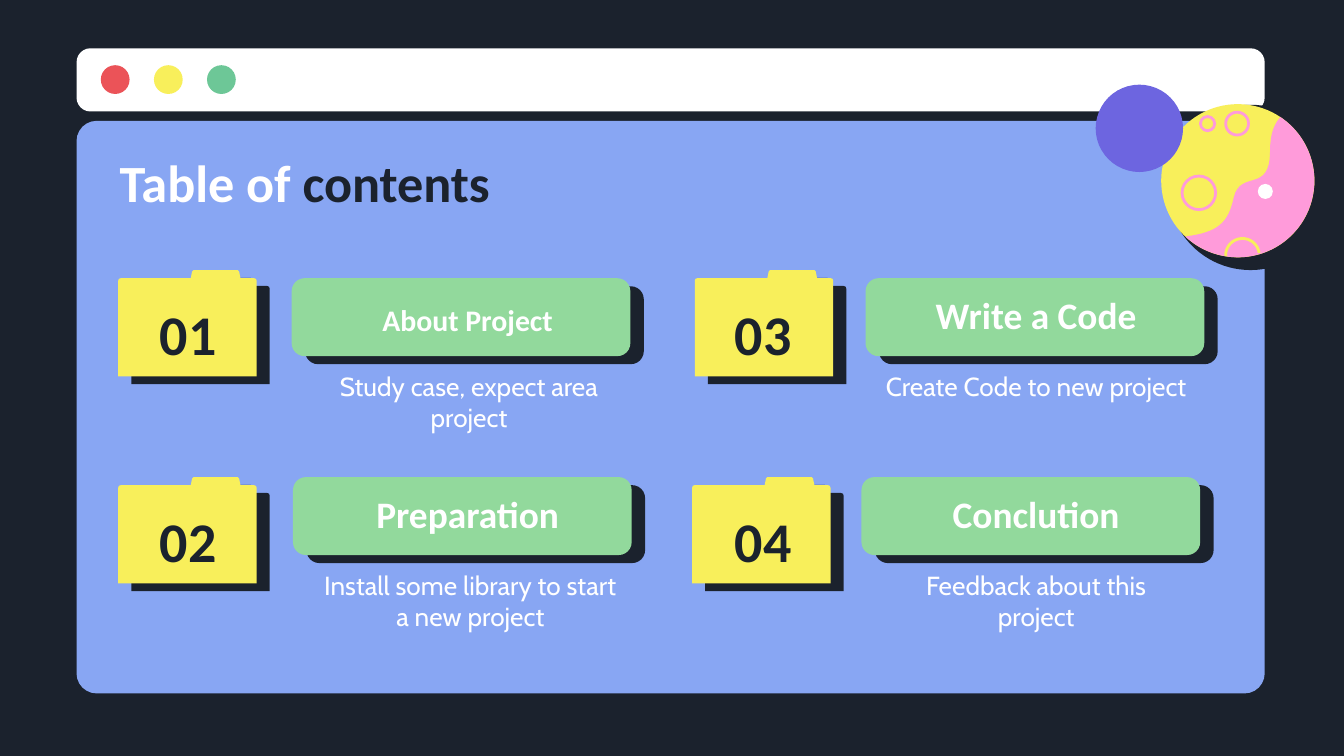
import math

from lxml import etree
from pptx import Presentation
from pptx.dml.color import RGBColor
from pptx.enum.shapes import MSO_SHAPE
from pptx.enum.text import MSO_ANCHOR, MSO_AUTO_SIZE, PP_ALIGN
from pptx.oxml.ns import qn
from pptx.util import Emu, Pt

ROUNDED, OVAL = MSO_SHAPE.ROUNDED_RECTANGLE, MSO_SHAPE.OVAL
TOP, MIDDLE, BOTTOM = MSO_ANCHOR.TOP, MSO_ANCHOR.MIDDLE, MSO_ANCHOR.BOTTOM
LEFT, CENTER = PP_ALIGN.LEFT, PP_ALIGN.CENTER
NO_AUTOFIT = MSO_AUTO_SIZE.NONE
TITLE_ONLY = 5
EMU_PER_PX = 9144
COLORS = {
    "ink": "1B222D", "white": "FFFFFF", "red": "EB5358", "yellow": "F8EF5B",
    "teal": "6DC797", "blue": "88A6F3", "pink": "FF9BDA", "violet": "6D65E0",
    "mint": "92D99C",
}
ENTRIES = [
    dict(number="01", heading="About Project", size=16, heading_width=243,
         caption="Study case, expect area project",
         folder=(88, 201), pill=(217, 207), centers=(140, 348, 349)),
    dict(number="02", heading="Preparation", size=20, heading_width=206,
         caption="Install some library to start a new project",
         folder=(88, 355), pill=(218, 355), centers=(140, 348, 350)),
    dict(number="03", heading="Write a Code", size=20, heading_width=206,
         caption="Create Code to new project",
         folder=(517, 201), pill=(644, 207), centers=(568, 771, 771)),
    dict(number="04", heading="Conclution", size=20, heading_width=206,
         caption="Feedback about this project",
         folder=(515, 355), pill=(641, 355), centers=(568, 771, 771)),
]


def px(length):
    return Emu(round(length * EMU_PER_PX))


def color(name):
    return RGBColor.from_string(COLORS[name])


def paint(shape, fill=None, line=None, weight=1.5):
    shape.shadow.inherit = False
    if fill:
        shape.fill.solid()
        shape.fill.fore_color.rgb = color(fill)
    else:
        shape.fill.background()
    if line:
        shape.line.color.rgb = color(line)
        shape.line.width = Pt(weight)
    else:
        shape.line.fill.background()
    return shape


def add_shape(page, kind, box, fill, corner=None):
    shape = page.shapes.add_shape(kind, *map(px, box))
    if corner is not None:
        shape.adjustments[0] = corner
    return paint(shape, fill)


def add_circle(page, x, y, radius, fill=None, line=None):
    box = (x - radius, y - radius, 2 * radius, 2 * radius)
    return paint(page.shapes.add_shape(OVAL, *map(px, box)), fill, line)


def add_outline(page, points, fill=None, line=None, close=True):
    points = [(px(x), px(y)) for x, y in points]
    builder = page.shapes.build_freeform(*points[0])
    builder.add_line_segments(points[1:], close=close)
    return paint(builder.convert_to_shape(), fill, line)


def arc(x, y, radius, start, end, steps=48):
    angles = [math.radians(start + (end - start) * i / steps) for i in range(steps + 1)]
    return [(x + radius * math.cos(a), y + radius * math.sin(a)) for a in angles]


def curve(start, first, second, end, steps=16):
    points = []
    for i in range(steps + 1):
        t = i / steps
        weights = ((1 - t) ** 3, 3 * t * (1 - t) ** 2, 3 * t * t * (1 - t), t ** 3)
        corners = (start, first, second, end)
        points.append(tuple(sum(w * c[axis] for w, c in zip(weights, corners))
                            for axis in (0, 1)))
    return points


def write(shape, box, spans, size, font="Calibri", bold=True, align=CENTER, anchor=MIDDLE):
    shape.left, shape.top, shape.width, shape.height = map(px, box)
    frame = shape.text_frame
    frame.word_wrap = True
    frame.auto_size = NO_AUTOFIT
    frame.vertical_anchor = anchor
    frame.margin_left = frame.margin_right = px(10)
    frame.margin_top = frame.margin_bottom = px(10)
    para = frame.paragraphs[0]
    para.alignment = align
    for text, name in spans:
        span = para.add_run()
        span.text = text
        span.font.name = font
        span.font.size = Pt(size)
        span.font.bold = bold
        span.font.color.rgb = color(name)


def add_text(page, box, text, name, size, **style):
    write(page.shapes.add_textbox(*map(px, box)), box, [(text, name)], size, **style)


def add_hard_shadow(shape):
    effects = shape._element.spPr.find(qn("a:effectLst"))
    shadow = etree.SubElement(effects, qn("a:outerShdw"), dist=str(Pt(8.2)),
                              dir=str(31 * 60000), algn="bl", rotWithShape="0")
    etree.SubElement(shadow, qn("a:srgbClr"), val=COLORS["ink"])


def add_window(page, left, top, width):
    add_shape(page, ROUNDED, (left, top, width, 47), "white", 0.22)
    for i, name in enumerate(("red", "yellow", "teal")):
        add_circle(page, left + 28.75 + 39.5 * i, top + 23.25, 10.7, name)
    add_shape(page, ROUNDED, (left, top + 54, width, 426), "blue", 0.035)


def add_planet(page, x, y, radius):
    add_circle(page, x + 9.5, y + 5, 61.5, "ink")
    add_circle(page, x, y, radius, "yellow")
    for dx, dy, ring in ((-22.5, -42.5, 5.3), (-0.5, -42.5, 8.5), (-29, 9, 12.5)):
        add_circle(page, x + dx, y + dy, ring, line="pink")
    shore = (curve((-39, 41.5), (-15, 38.5), (-7, 31.5), (-3, 12.5))
             + curve((-3, 12.5), (2, -8.5), (24, 9.5), (24, -21.5))
             + curve((24, -21.5), (24, -36.5), (28, -43.5), (32, -47.5)))
    land = [(x + dx, y + dy) for dx, dy in shore]
    add_outline(page, land + arc(x, y, radius, -56, 133), "pink")
    add_outline(page, arc(x + 3.5, y + 55.5, 12.5, 178, 352), line="yellow", close=False)
    add_circle(page, x + 20.5, y + 8, 5.6, "white")
    add_circle(page, x - 73.25, y - 39, 32.5, "violet")


def add_folder(page, left, top):
    corners = [(0, 8), (0.5, 6.5), (2, 6), (54, 6), (55, 1), (56, 0), (89, 0),
               (90, 1), (91, 6), (101, 6), (102.5, 6.5), (103, 8), (103, 79), (0, 79)]
    folder = add_outline(page, [(left + x, top + y) for x, y in corners], "yellow")
    add_hard_shadow(folder)


def add_entry(page, entry):
    number_x, heading_x, caption_x = entry["centers"]
    folder_left, folder_top = entry["folder"]
    left, top = entry["pill"]
    width = entry["heading_width"]
    add_shape(page, ROUNDED, (left + 10, top + 6, 252, 58), "ink")
    add_shape(page, ROUNDED, (left, top, 252, 58), "mint")
    add_folder(page, folder_left, folder_top)
    add_text(page, (number_x - 43.5, folder_top + 14, 87, 65), entry["number"], "ink", 30)
    add_text(page, (heading_x - width / 2, top + 10, width, 44),
             entry["heading"], "white", entry["size"], anchor=BOTTOM)
    add_text(page, (caption_x - 122, top + 58.5, 244, 58), entry["caption"],
             "white", 14, font="Cabin", bold=False, anchor=TOP)


def main():
    deck = Presentation()
    deck.slide_width, deck.slide_height = px(1000), px(562.5)
    page = deck.slides.add_slide(deck.slide_layouts[TITLE_ONLY])
    page.background.fill.solid()
    page.background.fill.fore_color.rgb = color("ink")
    add_window(page, 57, 36, 884)
    add_planet(page, 921, 134.5, 57)
    for entry in ENTRIES:
        add_entry(page, entry)
    title = page.shapes.title
    write(title, (79, 102, 843, 62), [("Table of ", "white"), ("contents", "ink")],
          28, align=LEFT, anchor=TOP)
    page.shapes._spTree.append(title._element)
    deck.save("out.pptx")


if __name__ == "__main__":
    main()
